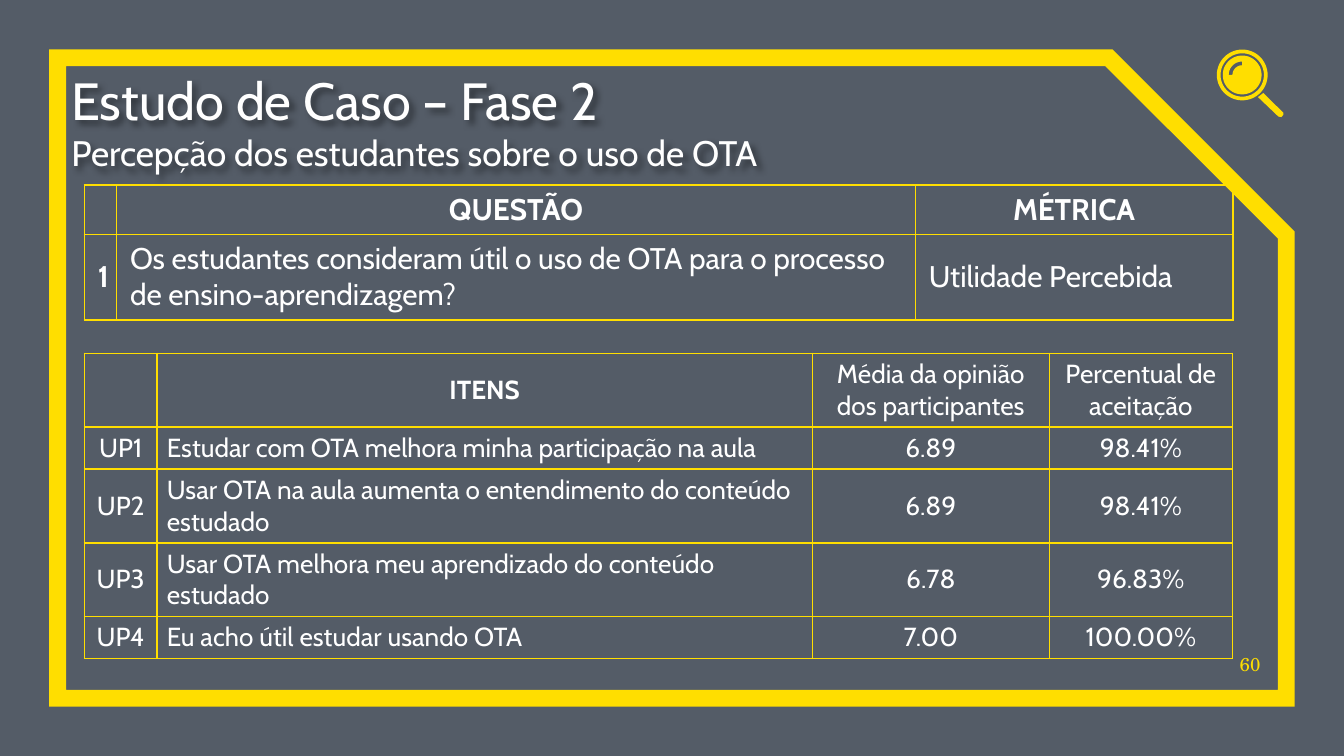
from dataclasses import dataclass
from math import cos, radians, sin

from lxml.etree import SubElement
from pptx import Presentation
from pptx.dml.color import RGBColor as RGB
from pptx.enum.shapes import MSO_SHAPE as SHAPE
from pptx.enum.text import MSO_ANCHOR as ANCHOR, PP_ALIGN as ALIGN
from pptx.oxml import parse_xml
from pptx.oxml.ns import nsdecls, qn
from pptx.util import Pt


@dataclass(frozen=True)
class Theme:
    veil: RGB = RGB(0x04, 0x0F, 0x20)
    accent: RGB = RGB(0xFF, 0xDE, 0x00)
    text: RGB = RGB(0xFF, 0xFF, 0xFF)
    font: str = "Cabin"
    number_font: str = "TeX Gyre Schola"
    title: float = 28
    subtitle: float = 19
    question: float = 16
    items: float = 14
    number: float = 10


def arc(cx, cy, radius, start, end, step=6):
    """Points on a circle, from one angle to the other in degrees."""
    step = step if end > start else -step
    return [(cx + radius * cos(radians(a)), cy + radius * sin(radians(a)))
            for a in range(start, end + (1 if step > 0 else -1), step)]


class SlideBuilder:
    def __init__(self, slide, theme):
        self.s = slide
        self.theme = theme

    def style(self, p, size, color=None, font=None, bold=False, align=ALIGN.LEFT):
        p.alignment = align
        p.font.size = Pt(size)
        p.font.name = font or self.theme.font
        p.font.bold = bold
        p.font.color.rgb = color or self.theme.text

    def veil(self, width, height, opacity):
        sp = self.s.shapes.add_shape(SHAPE.RECTANGLE, 0, 0, width, height)
        sp.shadow.inherit = False
        sp.line.fill.background()
        sp.fill.solid()
        sp.fill.fore_color.rgb = self.theme.veil
        color = sp._element.spPr.find(qn("a:solidFill"))[0]
        SubElement(color, qn("a:alpha"), val=str(opacity * 1000))

    def frame(self, x, y, w, h, snip, weight):
        sp = self.s.shapes.add_shape(SHAPE.SNIP_1_RECTANGLE, Pt(x), Pt(y), Pt(w), Pt(h))
        sp.adjustments[0] = snip
        sp.shadow.inherit = False
        sp.fill.background()
        sp.line.color.rgb = self.theme.accent
        sp.line.width = Pt(weight)
        SubElement(sp.line._ln, qn("a:miter"), lim="800000")

    def text(self, x, y, w, h, lines, shadow=False, **style):
        """Bottom-anchored text box; lines are (text, size) pairs."""
        box = self.s.shapes.add_textbox(Pt(x), Pt(y), Pt(w), Pt(h))
        tf = box.text_frame
        tf.word_wrap = True
        tf.vertical_anchor = ANCHOR.BOTTOM
        tf.margin_left = tf.margin_right = tf.margin_top = tf.margin_bottom = 0
        tf.text = "\n".join(line for line, _ in lines)
        for p, (_, size) in zip(tf.paragraphs, lines):
            self.style(p, size, **style)
        if shadow:
            box._element.spPr.append(parse_xml(
                f'<a:effectLst {nsdecls("a")}><a:outerShdw blurRad="38100" dist="38100" '
                'dir="2700000" algn="tl"><a:srgbClr val="000000"><a:alpha val="43000"/>'
                '</a:srgbClr></a:outerShdw></a:effectLst>'))

    def outline(self, shapes, *contours):
        """Filled freeform; later contours cut holes in the first."""
        pen = None
        for contour in contours:
            (x, y), *rest = [(Pt(px), Pt(py)) for px, py in contour]
            if pen is None:
                pen = shapes.build_freeform(x, y)
            else:
                pen.move_to(x, y)
            pen.add_line_segments(rest, close=True)
        sp = pen.convert_to_shape()
        sp.shadow.inherit = False
        sp.fill.solid()
        sp.fill.fore_color.rgb = self.theme.accent
        sp.line.fill.background()

    def magnifier(self, cx, cy):
        shapes = self.s.shapes.add_group_shape().shapes
        self.outline(shapes, arc(cx, cy, 13.6, 0, 360), arc(cx, cy, 11.6, 360, 0))
        glint = arc(cx, cy, 7.2, 270, 180) + arc(cx, cy, 5.2, 180, 270)
        self.outline(shapes, arc(cx, cy, 10.4, 0, 360), glint)
        handle = [(11.3, 9.6), (8.4, 11.8), (19.4, 22.3), (21, 22.5), (22, 21.3), (22.1, 20.3)]
        self.outline(shapes, [(cx + dx, cy + dy) for dx, dy in handle])

    def borders(self, cell):
        tc_pr = cell._tc.get_or_add_tcPr()
        for i, side in enumerate(("lnL", "lnR", "lnT", "lnB")):
            tc_pr.insert(i, parse_xml(
                f'<a:{side} {nsdecls("a")} w="{Pt(1)}"><a:solidFill>'
                f'<a:srgbClr val="{self.theme.accent}"/></a:solidFill></a:{side}>'))

    def table(self, x, y, widths, heights, rows, size, is_bold, left_columns, margins):
        """is_bold takes row and column; margins are side and top."""
        table = self.s.shapes.add_table(len(rows), len(widths), Pt(x), Pt(y),
                                        Pt(sum(widths)), Pt(sum(heights))).table
        table.first_row = table.horz_banding = False
        for column, width in zip(table.columns, widths):
            column.width = Pt(width)
        for row, height in zip(table.rows, heights):
            row.height = Pt(height)
        for i, row in enumerate(rows):
            for j, value in enumerate(row):
                cell = table.cell(i, j)
                cell.fill.background()
                self.borders(cell)
                cell.vertical_anchor = ANCHOR.MIDDLE
                cell.margin_left = cell.margin_right = Pt(margins[0])
                cell.margin_top = cell.margin_bottom = Pt(margins[1])
                cell.text_frame.text = value
                align = ALIGN.LEFT if i and j in left_columns else ALIGN.CENTER
                for p in cell.text_frame.paragraphs:
                    self.style(p, size, bold=is_bold(i, j), align=align)


QUESTION = [
    ("", "QUESTÃO", "MÉTRICA"),
    ("1", "Os estudantes consideram útil o uso de OTA para o processo de ensino-aprendizagem?",
     "Utilidade Percebida"),
]
ITEMS = [
    ("", "ITENS", "Média da opinião\ndos participantes", "Percentual de\naceitação"),
    ("UP1", "Estudar com OTA melhora minha participação na aula", "6.89", "98.41%"),
    ("UP2", "Usar OTA na aula aumenta o entendimento do conteúdo estudado", "6.89", "98.41%"),
    ("UP3", "Usar OTA melhora meu aprendizado do conteúdo estudado", "6.78", "96.83%"),
    ("UP4", "Eu acho útil estudar usando OTA", "7.00", "100.00%"),
]


def main():
    prs = Presentation()
    prs.slide_width, prs.slide_height = Pt(720), Pt(405)
    theme = Theme()
    b = SlideBuilder(prs.slides.add_slide(prs.slide_layouts[6]), theme)

    b.veil(prs.slide_width, prs.slide_height, opacity=68)
    b.frame(30.9, 30.9, 658.2, 343.2, snip=0.277, weight=9)
    b.text(656, 341.3, 19.2, 20.2, [("60", theme.number)], color=theme.accent,
           font=theme.number_font, align=ALIGN.RIGHT)
    b.magnifier(665.5, 40.2)
    b.text(38.2, 38.9, 605.5, 54,
           [("Estudo de Caso – Fase 2", theme.title),
            ("Percepção dos estudantes sobre o uso de OTA", theme.subtitle)], shadow=True)
    b.table(45.2, 99.1, (17, 428, 170), (26.5, 46), QUESTION, theme.question,
            is_bold=lambda i, j: i == 0 or j == 0, left_columns=(1, 2), margins=(7.2, 3.6))
    b.table(45.2, 189.3, (39, 351, 127, 98), (39.5, 22.5, 39.5, 39.5, 22.5), ITEMS,
            theme.items, is_bold=lambda i, j: (i, j) == (0, 1), left_columns=(1,),
            margins=(5.2, 2.6))
    prs.save("out.pptx")


if __name__ == "__main__":
    main()
